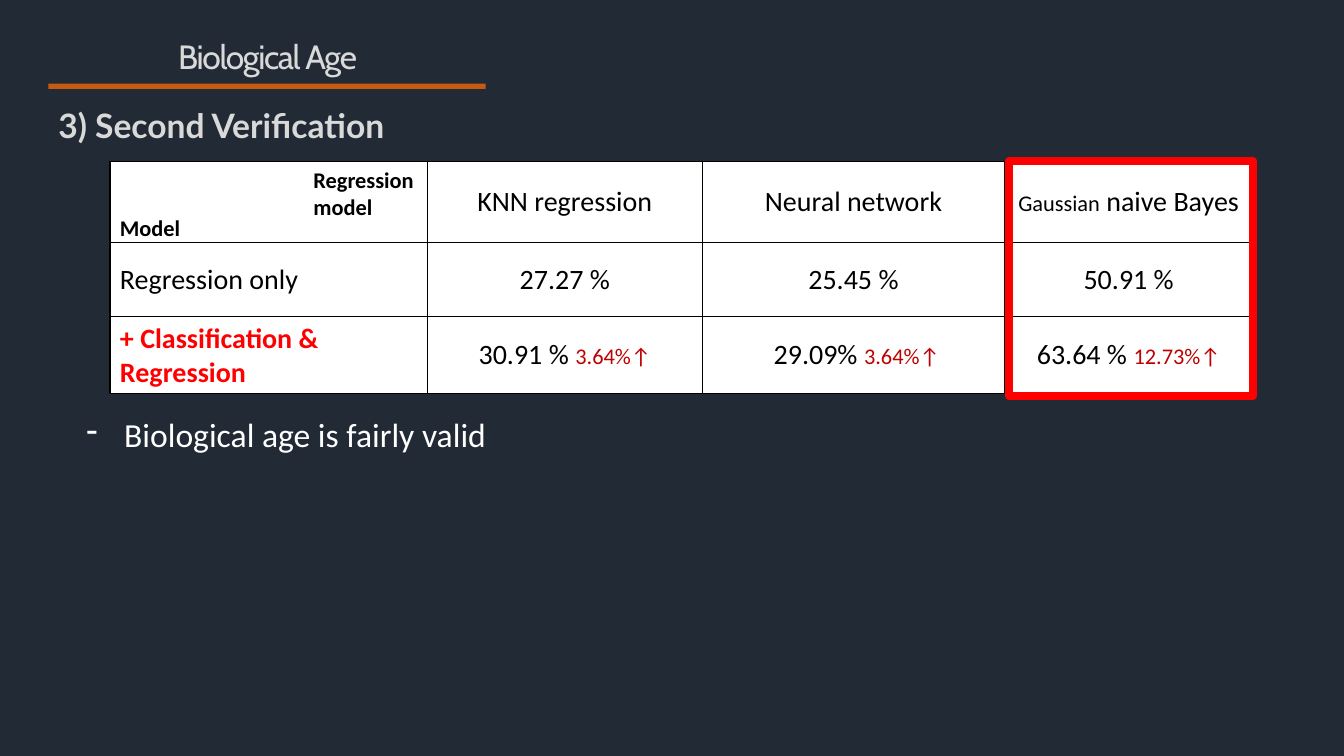
"""Build the slide on the second check of biological age."""
from lxml.etree import SubElement
from pptx import Presentation
from pptx.dml.color import RGBColor
from pptx.enum.shapes import MSO_SHAPE
from pptx.enum.text import MSO_ANCHOR, PP_ALIGN
from pptx.oxml.ns import qn
from pptx.util import Cm, Pt

HUES = {"back": "222A35", "pale": "D9D9D9", "rust": "C55A11", "white": "FFFFFF",
        "black": "000000", "red": "FF0000", "dark": "C00000"}

# Text: box in cm, words, size, font, hue, bold, anchor
TITLE = ((-0.76, 0.79, 15.01, 1.37), "Biological Age", 24, "Cabin", "pale", False, "mid")
HEAD = ((1.22, 2.24, 13.44, 1.83), "3) Second Verification", 24, "Lato", "pale", True, "mid")
LABELS = [
    ((7.65, 4.06, 3.45, 1.63), "Regression model", 16, "Calibri", "black", True, "top"),
    ((2.77, 5.26, 2.51, 0.94), "Model", 16, "Calibri", "black", True, "top"),
]
NOTE = ((1.93, 10.31, 30, 1.27), "Biological age is fairly valid", 24, "Calibri", "white",
        False, "top")

BAR = (1.22, 2.11, 11.02, 0.13)
FRAME = (25.43, 4.06, 6.15, 5.92)

SPOT = (2.77, 4.06)
COLS = [8, 6.93, 7.62, 6.25]
ROWS = [2.06, 1.85, 1.85]
CELLS = [
    [[], [("KNN regression", 20, "black")], [("Neural network", 20, "black")],
     [("Gaussian", 16, "black"), (" naive Bayes", 20, "black")]],
    [[("Regression only", 20, "black")], [("27.27 %", 20, "black")],
     [("25.45 %", 20, "black")], [("50.91 %", 20, "black")]],
    [[("+ Classification & Regression", 20, "red")],
     [("30.91 % ", 20, "black"), ("3.64%↑", 16, "dark")],
     [(" 29.09% ", 20, "black"), ("3.64%↑", 16, "dark")],
     [("63.64 % ", 20, "black"), ("12.73%↑", 16, "dark")]],
]


def tint(name):
    return RGBColor.from_string(HUES[name])


def style(run, size, face, hue, bold):
    font = run.font
    font.size, font.name, font.bold = Pt(size), face, bold
    font.color.rgb = tint(hue)


def add_text(slide, box, words, size, face, hue, bold, hold):
    frame = slide.shapes.add_textbox(*map(Cm, box)).text_frame
    frame.word_wrap = True
    frame.vertical_anchor = MSO_ANCHOR.MIDDLE if hold == "mid" else MSO_ANCHOR.TOP
    frame.text = words
    para = frame.paragraphs[0]
    style(para.runs[0], size, face, hue, bold)
    return para


def add_box(slide, box):
    shape = slide.shapes.add_shape(MSO_SHAPE.RECTANGLE, *map(Cm, box))
    shape.shadow.inherit = False
    return shape


def edge(cell):
    props = cell._tc.get_or_add_tcPr()
    for side in ("a:lnL", "a:lnR", "a:lnT", "a:lnB"):
        line = SubElement(props, qn(side), w=str(Pt(1)))
        fill = SubElement(line, qn("a:solidFill"))
        SubElement(fill, qn("a:srgbClr"), val=HUES["black"])


def fill_cell(cell, runs, row, col):
    edge(cell)
    cell.fill.solid()
    cell.fill.fore_color.rgb = tint("white")
    cell.vertical_anchor = MSO_ANCHOR.MIDDLE
    if row == 0:
        cell.margin_left = cell.margin_right = cell.margin_top = cell.margin_bottom = 0
    para = cell.text_frame.paragraphs[0]
    para.alignment = PP_ALIGN.CENTER if col else PP_ALIGN.LEFT
    for words, size, hue in runs:
        run = para.add_run()
        run.text = words
        style(run, size, "Calibri", hue, hue == "red")


def add_grid(slide):
    size = (sum(COLS), sum(ROWS))
    grid = slide.shapes.add_table(len(ROWS), len(COLS), *map(Cm, SPOT + size)).table
    grid.first_row = grid.horz_banding = False
    for col, wide in zip(grid.columns, COLS):
        col.width = Cm(wide)
    for row, tall in zip(grid.rows, ROWS):
        row.height = Cm(tall)
    for r, line in enumerate(CELLS):
        for c, runs in enumerate(line):
            fill_cell(grid.cell(r, c), runs, r, c)


def main():
    deck = Presentation()
    deck.slide_width, deck.slide_height = Cm(33.87), Cm(19.05)
    slide = deck.slides.add_slide(deck.slide_layouts[6])
    slide.background.fill.solid()
    slide.background.fill.fore_color.rgb = tint("back")

    title = add_text(slide, *TITLE)
    title.alignment = PP_ALIGN.CENTER
    title.line_spacing = 0.9
    title.runs[0].font._element.set("spc", "-100")

    bar = add_box(slide, BAR)
    bar.fill.solid()
    bar.fill.fore_color.rgb = tint("rust")
    bar.line.fill.background()

    add_grid(slide)
    for label in LABELS:
        add_text(slide, *label)

    frame = add_box(slide, FRAME)
    frame.fill.background()
    frame.line.color.rgb = tint("red")
    frame.line.width = Pt(6)

    add_text(slide, *HEAD)
    props = add_text(slide, *NOTE)._p.get_or_add_pPr()
    props.set("marL", str(Cm(0.95)))
    props.set("indent", str(-Cm(0.95)))
    SubElement(props, qn("a:buChar"), char="-")
    deck.save("out.pptx")


if __name__ == "__main__":
    main()
